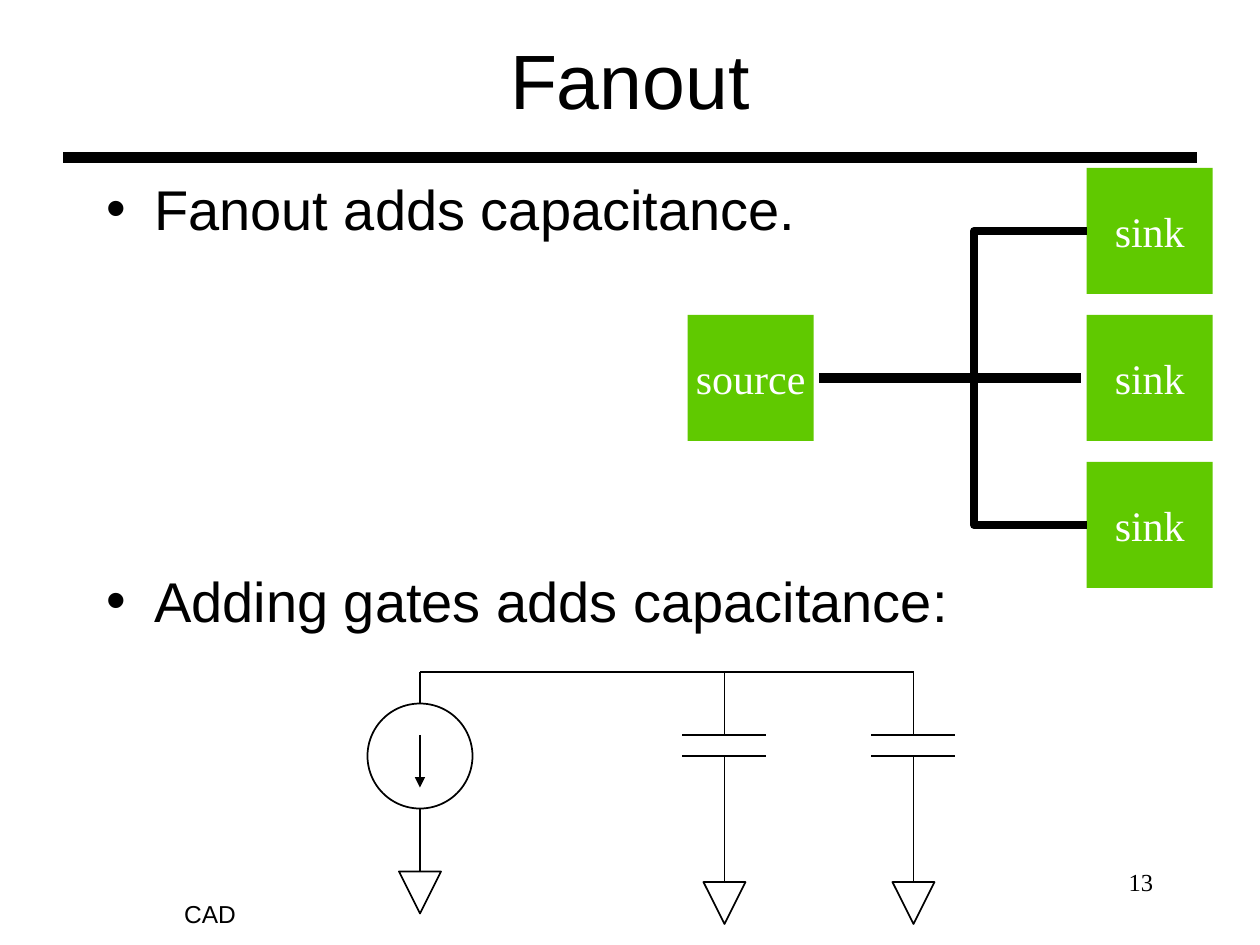
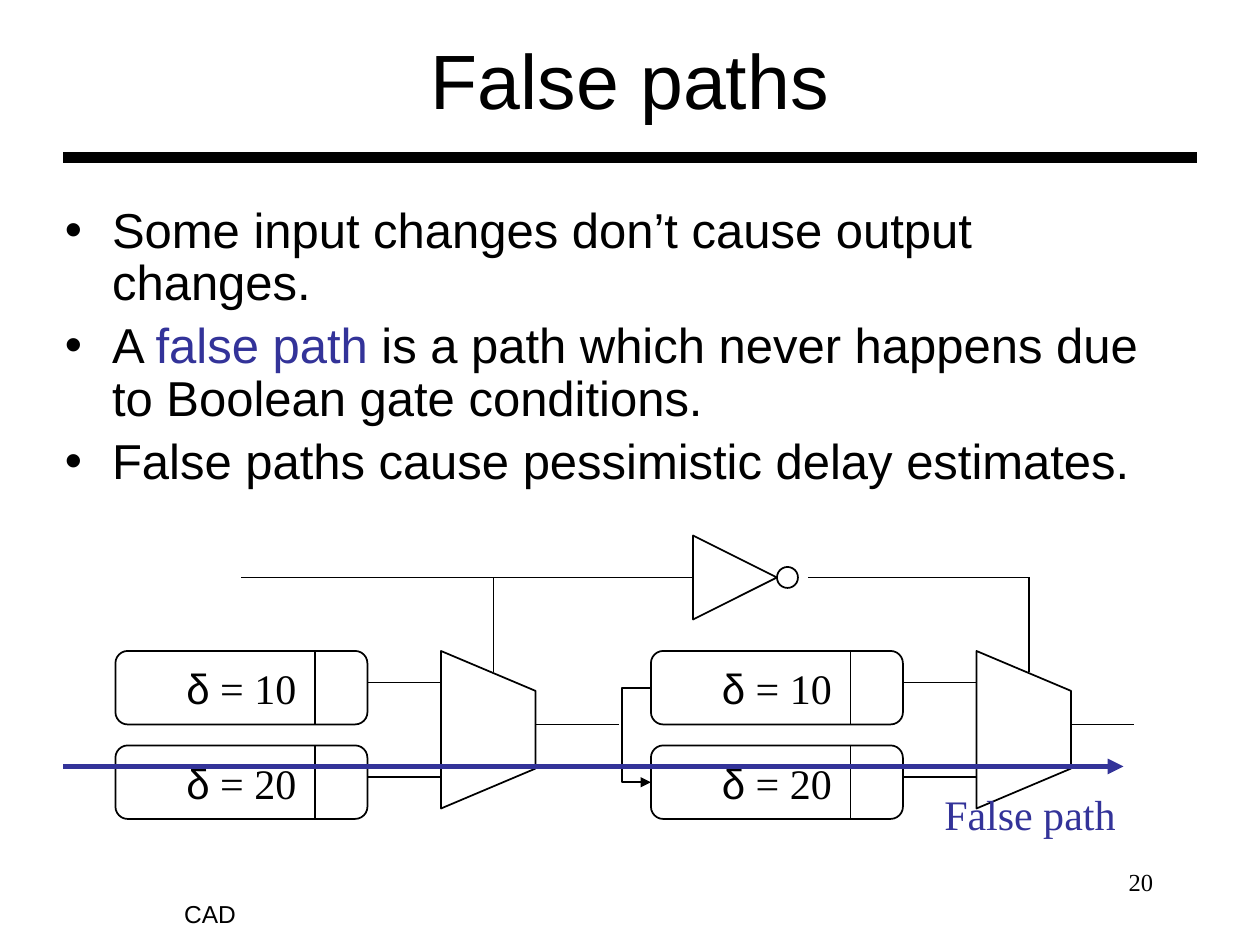
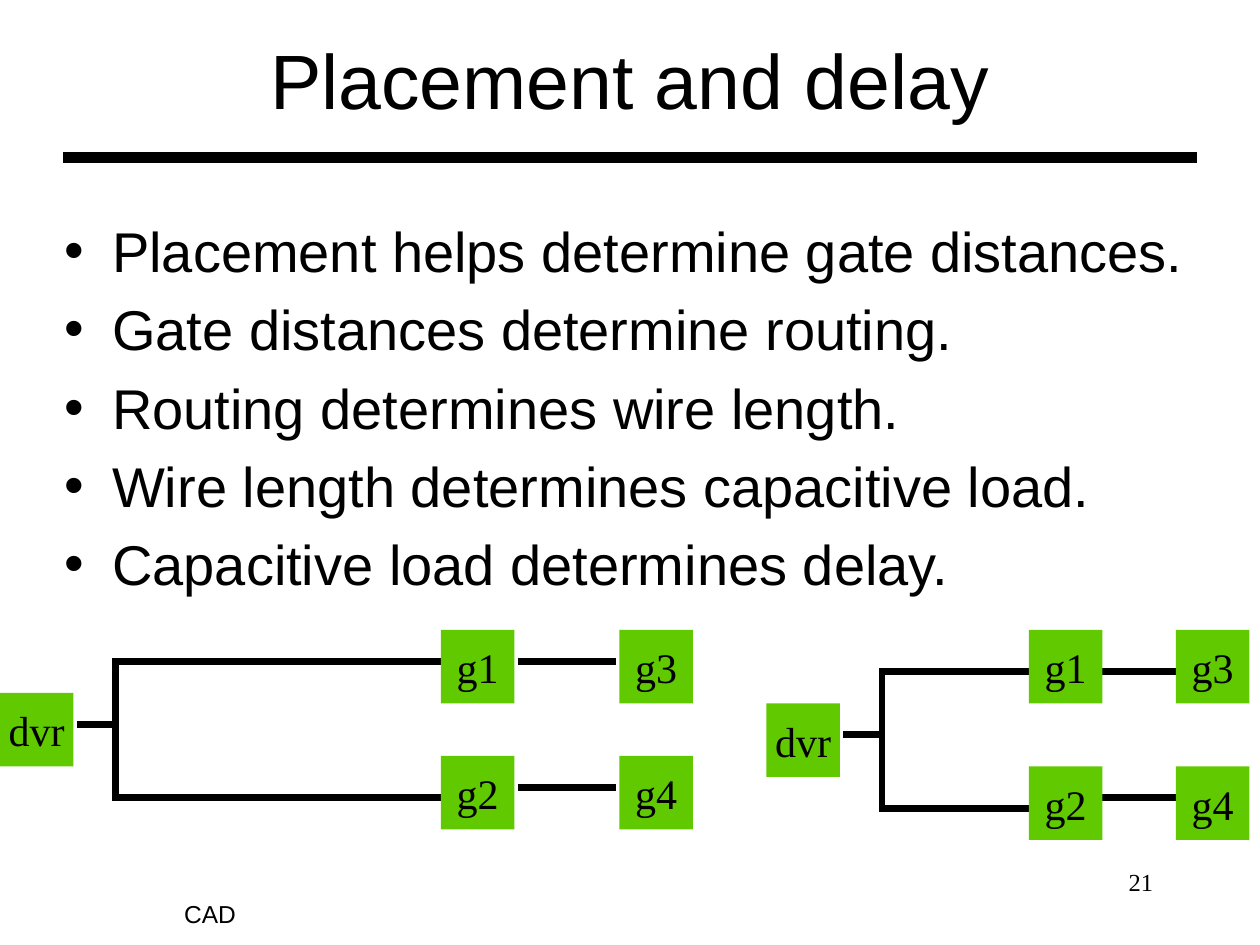
from lxml import etree
from pptx import Presentation
from pptx.dml.color import RGBColor
from pptx.enum.shapes import MSO_CONNECTOR, MSO_SHAPE
from pptx.enum.text import MSO_ANCHOR, MSO_AUTO_SIZE, PP_ALIGN
from pptx.oxml.ns import qn
from pptx.util import Cm, Pt

RECTANGLE = MSO_SHAPE.RECTANGLE
ROUNDED = MSO_SHAPE.ROUNDED_RECTANGLE
TRIANGLE = MSO_SHAPE.ISOSCELES_TRIANGLE
OVAL = MSO_SHAPE.OVAL
STRAIGHT = MSO_CONNECTOR.STRAIGHT
TOP, MIDDLE = MSO_ANCHOR.TOP, MSO_ANCHOR.MIDDLE
LEFT, CENTER, RIGHT = PP_ALIGN.LEFT, PP_ALIGN.CENTER, PP_ALIGN.RIGHT

COLOURS = {
    "ink": "000000",
    "paper": "FFFFFF",
    "gate": "60C900",
    "accent": "333399",
}
SANS, SERIF = "Arial", "Times New Roman"
TITLE_ONLY = 5


# ---- Shared helpers: places and sizes are in twelfths of an inch ----
def grid(steps):
    return Cm(2.54 * steps / 12)


def colour(name):
    return RGBColor.from_string(COLOURS[name])


def write(para, spans, size, align=LEFT):
    """Fill a paragraph with (text, font, colour) spans."""
    para.alignment = align
    for text, font, ink in spans:
        span = para.add_run()
        span.text = text
        for name, value in {"name": font, "size": Pt(size)}.items():
            setattr(span.font, name, value)
        span.font.color.rgb = colour(ink)


def set_frame(frame, anchor, wrap):
    settings = {"vertical_anchor": anchor, "word_wrap": wrap,
                "auto_size": MSO_AUTO_SIZE.NONE}
    for name, value in settings.items():
        setattr(frame, name, value)


def add_text(page, box, spans, size, align=LEFT, anchor=TOP, wrap=True):
    frame = page.shapes.add_textbox(*map(grid, box)).text_frame
    set_frame(frame, anchor, wrap)
    write(frame.paragraphs[0], spans, size, align)


def style_line(line, ink="ink", weight=1, arrow=False):
    line.color.rgb = colour(ink)
    line.width = Pt(weight)
    if arrow:
        outline = line._get_or_add_ln()
        etree.SubElement(outline, qn("a:tailEnd"), type="triangle")


def add_wire(page, start, end, **style):
    wire = page.shapes.add_connector(STRAIGHT, *map(grid, (*start, *end)))
    style_line(wire.line, **style)
    etree.SubElement(wire._element.spPr, qn("a:effectLst"))


def add_outline(page, points, closed, **style):
    corners = [(grid(x), grid(y)) for x, y in points]
    builder = page.shapes.build_freeform(*corners[0])
    builder.add_line_segments(corners[1:], close=closed)
    shape = builder.convert_to_shape()
    shape.shadow.inherit = False
    if closed:
        shape.fill.solid()
        shape.fill.fore_color.rgb = colour("paper")
    else:
        shape.fill.background()
    style_line(shape.line, **style)


def add_block(page, kind, box, fill="paper", spans=(), turn=0):
    """Preset shape; gates are filled without outline, symbols are outlined."""
    shape = page.shapes.add_shape(kind, *map(grid, box))
    shape.shadow.inherit = False
    shape.rotation = turn
    shape.fill.solid()
    shape.fill.fore_color.rgb = colour(fill)
    if fill == "gate":
        shape.line.fill.background()
    else:
        style_line(shape.line)
    if spans:
        set_frame(shape.text_frame, MIDDLE, False)
        write(shape.text_frame.paragraphs[0], spans, 24, CENTER)


def add_gate(page, left, top, side, label, ink):
    add_block(page, RECTANGLE, (left, top, side, side), "gate",
              [(label, SERIF, ink)])


# ---- Page frame and bullets ----
def add_page(deck, title, number):
    page = deck.slides.add_slide(deck.slide_layouts[TITLE_ONLY])
    heading = page.shapes.title
    place = {"left": 9, "top": 0, "width": 102, "height": 15}
    for name, value in place.items():
        setattr(heading, name, grid(value))
    set_frame(heading.text_frame, MIDDLE, True)
    write(heading.text_frame.paragraphs[0], [(title, SANS, "ink")], 44, CENTER)
    add_wire(page, (6, 15), (114, 15), weight=6)
    add_text(page, (1, 84, 38, 6), [("CAD", SANS, "ink")], 14, CENTER, MIDDLE)
    add_text(page, (103, 82, 8, 6), [(number, SERIF, "ink")], 14, RIGHT)
    return page


def add_bullets(page, box, items, size, gap, spacing=1.0):
    """Each item is a list of (text, colour) pieces."""
    frame = page.shapes.add_textbox(*map(grid, box)).text_frame
    set_frame(frame, TOP, True)
    for index, pieces in enumerate(items):
        para = frame.add_paragraph() if index else frame.paragraphs[0]
        props = para._p.get_or_add_pPr()
        props.set("marL", str(grid(4.5)))
        props.set("indent", str(-grid(4.5)))
        etree.SubElement(props, qn("a:buFont"), typeface=SANS)
        etree.SubElement(props, qn("a:buChar"), char="•")
        para.line_spacing = spacing
        para.space_before = Pt(gap if index else 0)
        write(para, [(text, SANS, ink) for text, ink in pieces], size)


# ---- Fanout ----
def draw_fanout(page, left, top):
    """One source driving a column of three sinks."""
    side, pitch, sinks = 12, 14, left + 38
    middle = top + pitch + side / 2
    trunk = sinks - 10.75
    add_gate(page, left, top + pitch, side, "source", "paper")
    for row in range(3):
        add_gate(page, sinks, top + row * pitch, side, "sink", "paper")
    add_wire(page, (left + 12.5, middle), (left + 26, middle), weight=6)
    add_wire(page, (left + 25.5, middle), (sinks - 0.5, middle), weight=6)
    first, last = middle - pitch, middle + pitch
    add_outline(page, [(sinks, first), (trunk, first), (trunk, last),
                       (sinks, last)], False, weight=4.5)


def draw_ground(page, x, top):
    add_block(page, TRIANGLE, (x - 2, top, 4, 4), turn=180)


def draw_current_source(page, x, top):
    add_block(page, OVAL, (x - 5, top + 3, 10, 10))
    add_wire(page, (x, top + 6), (x, top + 11), arrow=True)
    add_wire(page, (x, top + 13), (x, top + 19))
    draw_ground(page, x, top + 19)
    add_wire(page, (x, top + 3), (x, top))


def draw_capacitor(page, x, top):
    add_wire(page, (x, top), (x, top + 6))
    for plate in (top + 6, top + 8):
        add_wire(page, (x - 4, plate), (x + 4, plate))
    add_wire(page, (x, top + 8), (x, top + 20))
    draw_ground(page, x, top + 20)


def draw_load_circuit(page, left, top):
    nodes = [left, left + 29, left + 47]
    draw_current_source(page, nodes[0], top)
    for node in nodes[1:]:
        draw_capacitor(page, node, top)
    for start, end in zip(nodes, nodes[1:]):
        add_wire(page, (start, top), (end, top))


def build_fanout(deck):
    page = add_page(deck, "Fanout", "13")
    add_bullets(page, (9, 16, 102, 61),
                [[("Fanout adds capacitance.", "ink")],
                 [("Adding gates adds capacitance:", "ink")]], 32, 186)
    draw_fanout(page, 65.5, 16)
    draw_load_circuit(page, 40, 64)


# ---- False paths ----
def draw_stage(page, left, top, output):
    """Two delay blocks feeding a multiplexer with an output wire."""
    mux = left + 31
    add_outline(page, [(mux, top + 15), (mux + 9, top + 11.2),
                       (mux + 9, top + 3.8), (mux, top)], True)
    for row, delay in enumerate(("10", "20")):
        y = top + 9 * row
        add_block(page, ROUNDED, (left, y, 24, 7),
                  spans=[("δ", SANS, "ink"), (f" = {delay}", SERIF, "ink")])
        add_wire(page, (left + 19, y), (left + 19, y + 7))
        add_wire(page, (left + 24, y + 3), (mux, y + 3))
    add_wire(page, (mux + 5, top + 2), (mux + 5, top - 7))
    add_wire(page, (mux + 9, top + 7), (mux + 9 + output, top + 7))


def draw_select_line(page, left, y):
    """Select signal with an inverter between the two stages."""
    add_block(page, TRIANGLE, (left + 43, y - 4, 8, 8), turn=90)
    add_block(page, OVAL, (left + 51, y - 1, 2, 2))
    add_wire(page, (left + 54, y), (left + 75, y))
    add_wire(page, (left + 43, y), (left, y))


def draw_false_path(page, left, y):
    add_wire(page, (left, y), (left + 101, y), ink="accent", weight=3,
             arrow=True)
    add_text(page, (left + 82.75, y + 1.5, 18.75, 6),
             [("False path", SERIF, "accent")], 24, wrap=False)


def build_false_paths(deck):
    page = add_page(deck, "False paths", "20")
    add_bullets(page, (5, 19, 108, 61), [
        [("Some input changes don’t cause output changes.", "ink")],
        [("A ", "ink"), ("false path", "accent"),
         (" is a path which never happens due to Boolean gate conditions.",
          "ink")],
        [("False paths cause pessimistic delay estimates.", "ink")],
    ], 28, 5.6, 0.9)
    first, second, top = 11, 62, 62
    draw_stage(page, first, top, 8)
    draw_stage(page, second, top, 6)
    # Fork into the second pair of delay blocks
    fork = second - 2.75
    add_outline(page, [(second, top + 3.5), (fork, top + 3.5),
                       (fork, top + 12.5), (second, top + 12.5)],
                False, arrow=True)
    draw_select_line(page, 23, 55)
    draw_false_path(page, 6, 73)


# ---- Placement and delay ----
def draw_placement(page, left, top, near, far, row, tap, gap):
    """Driver and two gate rows; near and far are the gate columns."""
    side, trunk, weight = 7, left + 11, 4
    near, far, y = left + near, left + far, top + tap
    edge = 0.33
    # Wires: feed, branches, trunk, links
    add_wire(page, (left + side + edge, y + 6), (trunk - edge, y + 6),
             weight=weight)
    for branch in (y, y + 13):
        add_wire(page, (near + edge, branch), (trunk - edge, branch),
                 weight=weight)
    add_wire(page, (trunk, y + edge), (trunk, y + 13 - edge), weight=weight)
    for link in (y, y + 12):
        add_wire(page, (near + side + gap, link), (far - gap, link),
                 weight=weight)
    # Gates
    gates = [("dvr", left, y + 3), ("g1", near, top), ("g2", near, top + row),
             ("g3", far, top), ("g4", far, top + row)]
    for label, x, gate_top in gates:
        add_gate(page, x, gate_top, side, label, "ink")


def build_placement(deck):
    page = add_page(deck, "Placement and delay", "21")
    lines = ["Placement helps determine gate distances.",
             "Gate distances determine routing.",
             "Routing determines wire length.",
             "Wire length determines capacitive load.",
             "Capacitive load determines delay."]
    add_bullets(page, (5, 20, 110, 62), [[(line, "ink")] for line in lines],
                32, 6.4)
    draw_placement(page, 0, 60, near=42, far=59, row=12, tap=3, gap=0.33)
    draw_placement(page, 73, 60, near=25, far=39, row=13, tap=4, gap=0)


def main():
    deck = Presentation()
    deck.slide_width, deck.slide_height = Cm(25.4), Cm(19.05)
    build_fanout(deck)
    build_false_paths(deck)
    build_placement(deck)
    deck.save("out.pptx")


if __name__ == "__main__":
    main()
